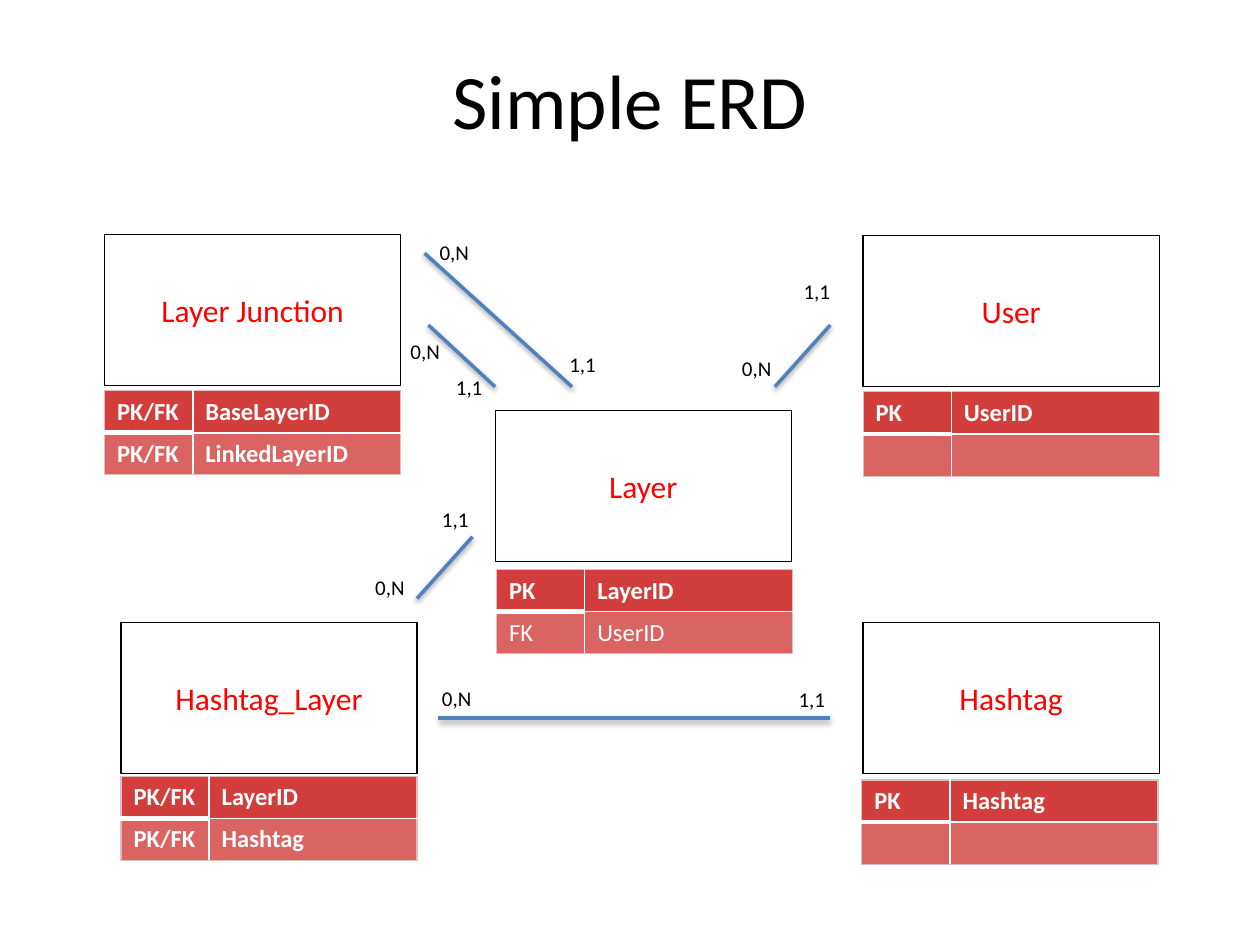
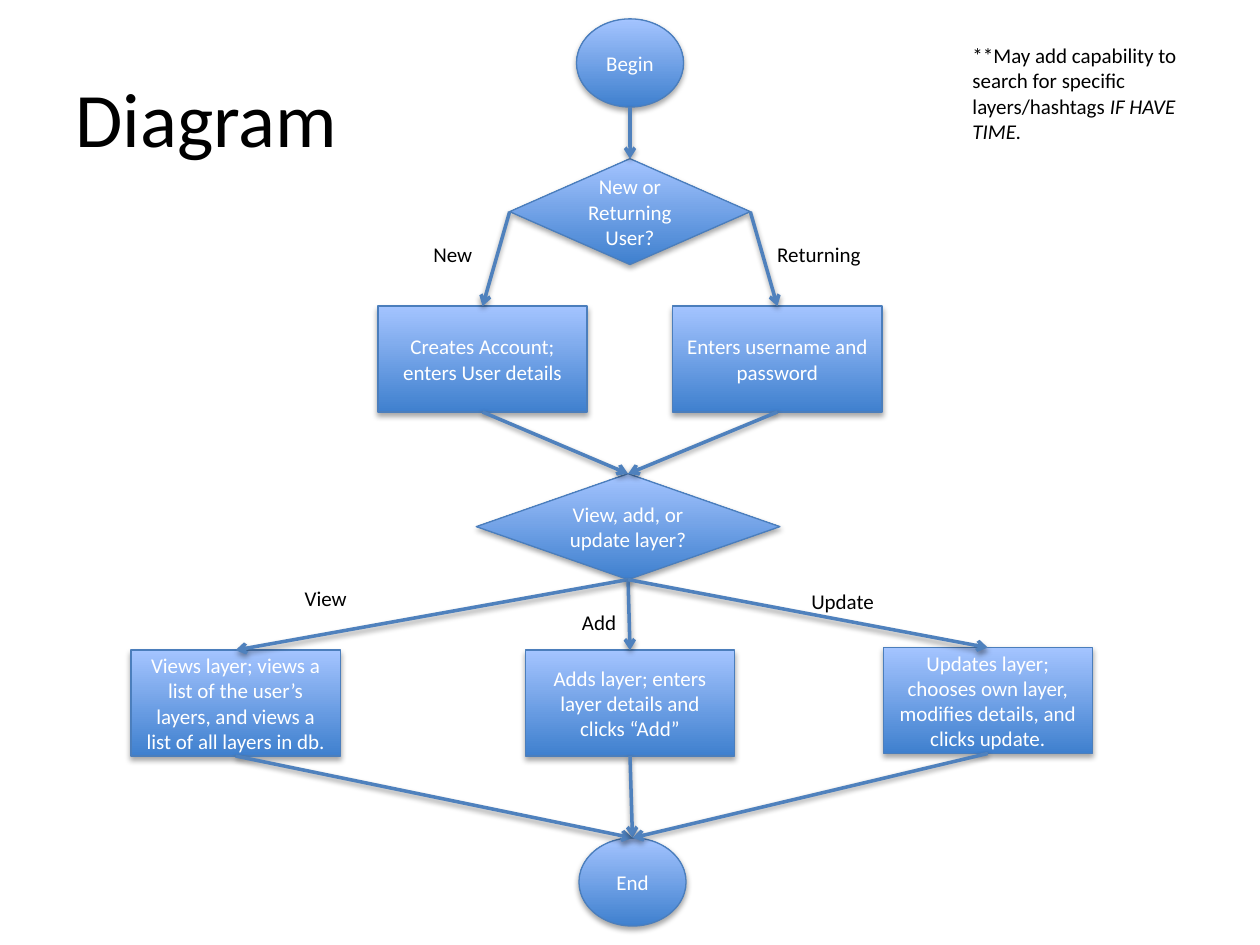
from lxml import etree
from pptx import Presentation
from pptx.dml.color import RGBColor
from pptx.enum.shapes import MSO_CONNECTOR, MSO_SHAPE
from pptx.enum.text import MSO_ANCHOR, PP_ALIGN
from pptx.oxml import parse_xml
from pptx.util import Inches, Pt

BLACK = RGBColor(0x00, 0x00, 0x00)
WHITE = RGBColor(0xFF, 0xFF, 0xFF)
ENTITY_RED = RGBColor(0xFF, 0x00, 0x00)
KEY_RED = RGBColor(0xD1, 0x3E, 0x3B)
KEY_LIGHT = RGBColor(0xD9, 0x64, 0x62)
LINK_BLUE = RGBColor(0x4F, 0x81, 0xBD)
NODE_LINE = RGBColor(0x4B, 0x7E, 0xBC)
NODE_DARK = RGBColor(0x3F, 0x80, 0xCE)
NODE_LIGHT = RGBColor(0xA4, 0xC4, 0xFF)
TABLE_EDGE = RGBColor(0xDE, 0xBD, 0xBD)

FONT = "Calibri"
NS = "http://schemas.openxmlformats.org/drawingml/2006/main"
SHADOW = (
    '<a:effectLst xmlns:a="%s"><a:outerShdw blurRad="40000" dist="{dist}" dir="5400000" '
    'rotWithShape="0"><a:srgbClr val="000000"><a:alpha val="{alpha}"/></a:srgbClr>'
    "</a:outerShdw></a:effectLst>" % NS
)
BORDER = (
    '<a:{side} xmlns:a="%s" w="{width}"><a:solidFill><a:srgbClr val="{color}"/>'
    "</a:solidFill></a:{side}>" % NS
)

deck = Presentation()
deck.slide_width, deck.slide_height = Inches(10), Inches(7.5)
# Grid of 100 columns and 75 rows
COL, ROW = deck.slide_width / 100, deck.slide_height / 75
blank = deck.slide_layouts[6]


def write(frame, runs, size, color, align=PP_ALIGN.LEFT, anchor=MSO_ANCHOR.TOP):
    """Fill a text frame; each run is (text, italic)."""
    frame.word_wrap = True
    frame.vertical_anchor = anchor
    paragraph = frame.paragraphs[0]
    paragraph.alignment = align
    for text, italic in runs:
        run = paragraph.add_run()
        run.text = text
        run.font.name, run.font.size = FONT, Pt(size)
        run.font.color.rgb = color
        if italic:
            run.font.italic = True


def connect(slide, x1, y1, x2, y2, arrow=False):
    """Draw a shadowed blue link between two grid points."""
    link = slide.shapes.add_connector(
        MSO_CONNECTOR.STRAIGHT, int(x1 * COL), int(y1 * ROW), int(x2 * COL), int(y2 * ROW))
    link.line.color.rgb = LINK_BLUE
    link.line.width = Pt(2)
    if arrow:
        outline = link.line._get_or_add_ln()
        etree.SubElement(outline, "{%s}tailEnd" % NS, type="arrow")
    link._element.spPr.append(parse_xml(SHADOW.format(dist=20000, alpha=38000)))
    return link


erd = deck.slides.add_slide(blank)
flow = deck.slides.add_slide(blank)

# Titles
for slide, title, top, align in [
    (erd, "Simple ERD", 1.6, PP_ALIGN.CENTER),
    (flow, "Diagram", 3, PP_ALIGN.LEFT),
]:
    heading = slide.shapes.add_textbox(int(5 * COL), int(top * ROW), int(90 * COL), int(12.5 * ROW))
    write(heading.text_frame, [(title, False)], 44, BLACK, align, MSO_ANCHOR.MIDDLE)

# Entities, each with its key table: left, top, table left, table top, keys, bold rows
ENTITY_W, ENTITY_H = 23.5, 12
KEY_COLS, KEY_ROW = (7, 16.5), 3.35
entities = [
    ("Layer", 39.3, 32.6, 39.4, 45.2, [("PK", "LayerID"), ("FK", "UserID")], 1),
    ("Layer Junction", 8.3, 18.6, 8.3, 31,
     [("PK/FK", "BaseLayerID"), ("PK/FK", "LinkedLayerID")], 2),
    ("User", 68.5, 18.7, 68.5, 31.1, [("PK", "UserID"), ("", "")], 2),
    ("Hashtag_Layer", 9.6, 49.4, 9.6, 61.6, [("PK/FK", "LayerID"), ("PK/FK", "Hashtag")], 2),
    ("Hashtag", 68.5, 49.4, 68.4, 61.9, [("PK", "Hashtag"), ("", "")], 2),
]
for name, left, top, keys_left, keys_top, keys, bold_rows in entities:
    entity = erd.shapes.add_shape(
        MSO_SHAPE.RECTANGLE, int(left * COL), int(top * ROW),
        int(ENTITY_W * COL), int(ENTITY_H * ROW))
    entity.shadow.inherit = False
    entity.fill.background()
    entity.line.color.rgb = BLACK
    entity.line.width = Pt(0.75)
    write(entity.text_frame, [(name, False)], 18, ENTITY_RED, PP_ALIGN.CENTER, MSO_ANCHOR.MIDDLE)

    key_table = erd.shapes.add_table(
        2, 2, int(keys_left * COL), int(keys_top * ROW),
        int(ENTITY_W * COL), int(2 * KEY_ROW * ROW)).table
    for c, width in enumerate(KEY_COLS):
        key_table.columns[c].width = int(width * COL)
    for r, key_row in enumerate(keys):
        key_table.rows[r].height = int(KEY_ROW * ROW)
        for c, text in enumerate(key_row):
            cell = key_table.cell(r, c)
            cell.margin_top = cell.margin_bottom = 0
            cell.vertical_anchor = MSO_ANCHOR.MIDDLE
            if text:
                run = cell.text_frame.paragraphs[0].add_run()
                run.text = text
                run.font.name, run.font.size = FONT, Pt(14)
                run.font.color.rgb = WHITE
                run.font.bold = r < bold_rows
            # Outer edges are pale; a white rule underlines the first key
            edges = [("lnL" if c == 0 else "lnR", 9525, TABLE_EDGE)]
            if r == 0:
                edges.append(("lnT", 9525, TABLE_EDGE))
                if c == 0:
                    edges.append(("lnB", 38100, WHITE))
            else:
                edges.append(("lnB", 9525, TABLE_EDGE))
            properties = cell._tc.get_or_add_tcPr()
            for side, width, color in edges:
                properties.append(parse_xml(BORDER.format(side=side, width=width, color=color)))
            cell.fill.solid()
            cell.fill.fore_color.rgb = KEY_RED if r == 0 else KEY_LIGHT

# Relations between entities
for ends in [
    (61.5, 30.7, 65.9, 25.8),
    (34, 25.8, 39.3, 30.7),
    (33.1, 47.5, 37.5, 42.6),
    (34.8, 57, 65.9, 57),
    (33.7, 20.1, 45.4, 30.7),
]:
    connect(erd, *ends)

# Cardinalities and branch labels
cardinalities = {
    "1,1": [(62.8, 21.6), (35.2, 29.2), (34.1, 39.7), (62.4, 54), (44.2, 27.4)],
    "0,N": [(57.9, 27.7), (31.6, 26.4), (28.8, 45.1), (34.1, 53.9), (33.9, 18.5)],
}
branches = {
    "New": [(33.4, 18.7)], "Returning": [(60.7, 18.7)], "View": [(23.2, 46)],
    "Add": [(45.2, 47.9)], "Update": [(63.4, 46.2)],
}
for slide, labels, width in [(erd, cardinalities, 6), (flow, branches, 10.8)]:
    for text, places in labels.items():
        for left, top in places:
            label = slide.shapes.add_textbox(
                int(left * COL), int(top * ROW), int(width * COL), int(3 * ROW))
            write(label.text_frame, [(text, False)], 12, BLACK)

# Flow steps: centre column, top row, width, height
TERMINAL, DECISION, PROCESS = (
    MSO_SHAPE.FLOWCHART_CONNECTOR, MSO_SHAPE.FLOWCHART_DECISION, MSO_SHAPE.FLOWCHART_PROCESS)
STEP_W, STEP_H = 16.6, 8.4
steps = {
    "begin": (TERMINAL, "Begin", 50, 1.5, 8.5, 7),
    "user": (DECISION, "New or Returning User?", 50, 12.6, 19.1, STEP_H),
    "create": (PROCESS, "Creates Account; enters User details", 38.3, 24.3, STEP_W, STEP_H),
    "login": (PROCESS, "Enters username and password", 61.7, 24.3, STEP_W, STEP_H),
    "layer": (DECISION, "View, add, or update layer?", 49.85, 37.6, 24.1, STEP_H),
    "view": (PROCESS, "Views layer; views a list of the user’s layers, and views a list "
             "of all layers in db.", 18.7, 51.6, STEP_W, STEP_H),
    "add": (PROCESS, "Adds layer; enters layer details and clicks “Add”",
            50, 51.6, STEP_W, STEP_H),
    "update": (PROCESS, "Updates layer; chooses own layer, modifies details, and clicks update.",
               78.4, 51.4, STEP_W, STEP_H),
    "end": (TERMINAL, "End", 50.2, 66.5, 8.5, 7),
}
nodes = {}
for key, (kind, text, center, top, width, height) in steps.items():
    node = flow.shapes.add_shape(
        kind, int((center - width / 2) * COL), int(top * ROW),
        int(width * COL), int(height * ROW))
    node.fill.gradient()
    node.fill.gradient_angle = 90
    for stop, color in zip(node.fill.gradient_stops, (NODE_DARK, NODE_LIGHT)):
        stop.color.rgb = color
    node.line.color.rgb = NODE_LINE
    node.line.width = Pt(0.75)
    node._element.spPr.append(parse_xml(SHADOW.format(dist=23000, alpha=35000)))
    write(node.text_frame, [(text, False)], 12, WHITE, PP_ALIGN.CENTER, MSO_ANCHOR.MIDDLE)
    nodes[key] = node

# Arrows leave from a side and arrive at the top of the next step
TOP, LEFT, BOTTOM, RIGHT = range(4)
for source, side, target in [
    ("begin", BOTTOM, "user"),
    ("user", LEFT, "create"), ("user", RIGHT, "login"),
    ("create", BOTTOM, "layer"), ("login", BOTTOM, "layer"),
    ("layer", BOTTOM, "view"), ("layer", BOTTOM, "add"), ("layer", BOTTOM, "update"),
    ("view", BOTTOM, "end"), ("add", BOTTOM, "end"), ("update", BOTTOM, "end"),
]:
    center, top, width, height = steps[source][2:]
    x = center + {LEFT: -width / 2, BOTTOM: 0, RIGHT: width / 2}[side]
    y = top + (height if side == BOTTOM else height / 2)
    arrow = connect(flow, x, y, steps[target][2], steps[target][3], arrow=True)
    # The round terminal numbers its sites differently, so its start stays free
    if source != "begin":
        arrow.begin_connect(nodes[source], side)
    arrow.end_connect(nodes[target], TOP)

# Remark on later work
remark = flow.shapes.add_textbox(int(76.2 * COL), int(2.9 * ROW), int(19.6 * COL), int(7.1 * ROW))
write(remark.text_frame, [
    ("**May add capability to search for specific layers/hashtags ", False),
    ("IF HAVE TIME.", True),
], 12, BLACK)

deck.save("out.pptx")
